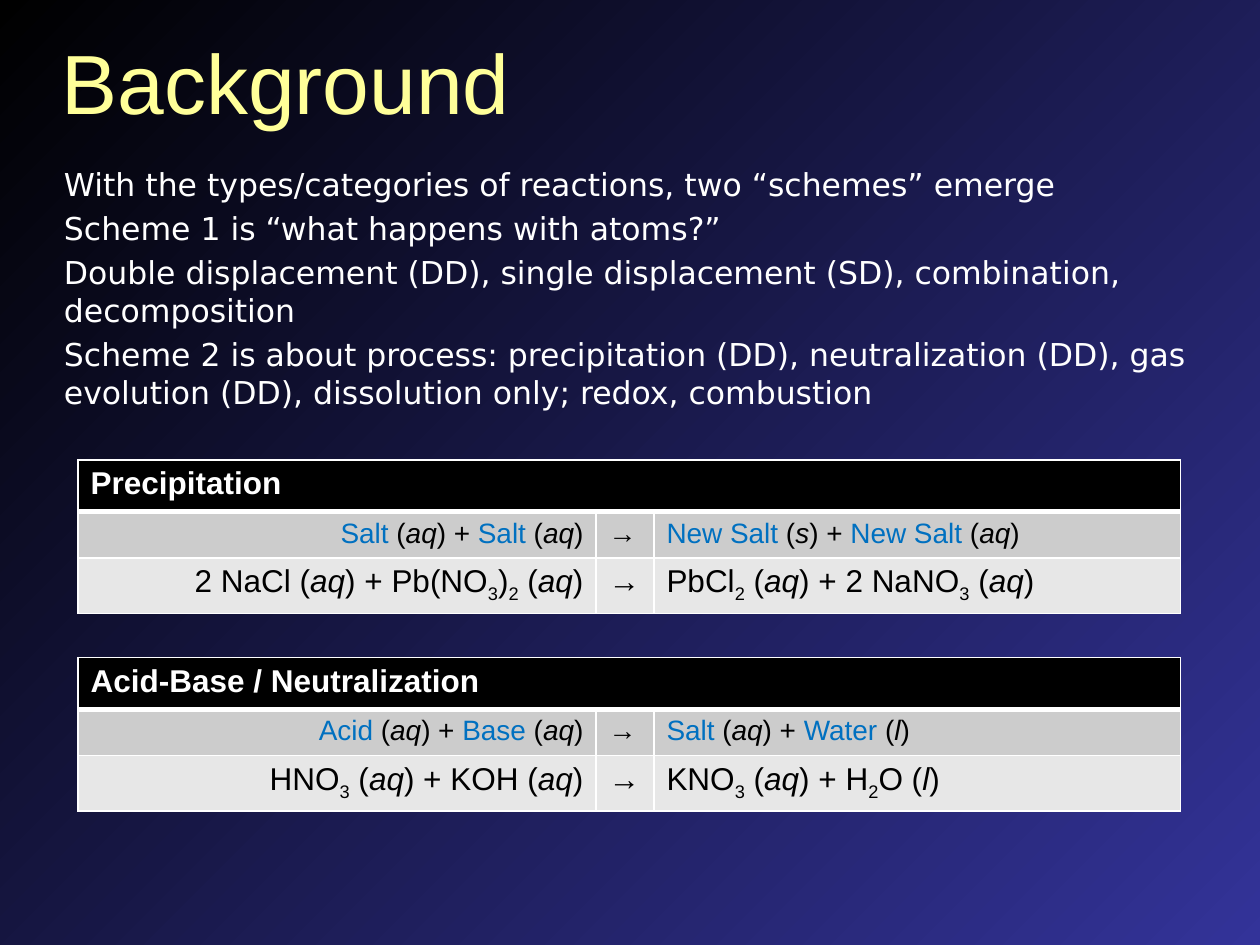
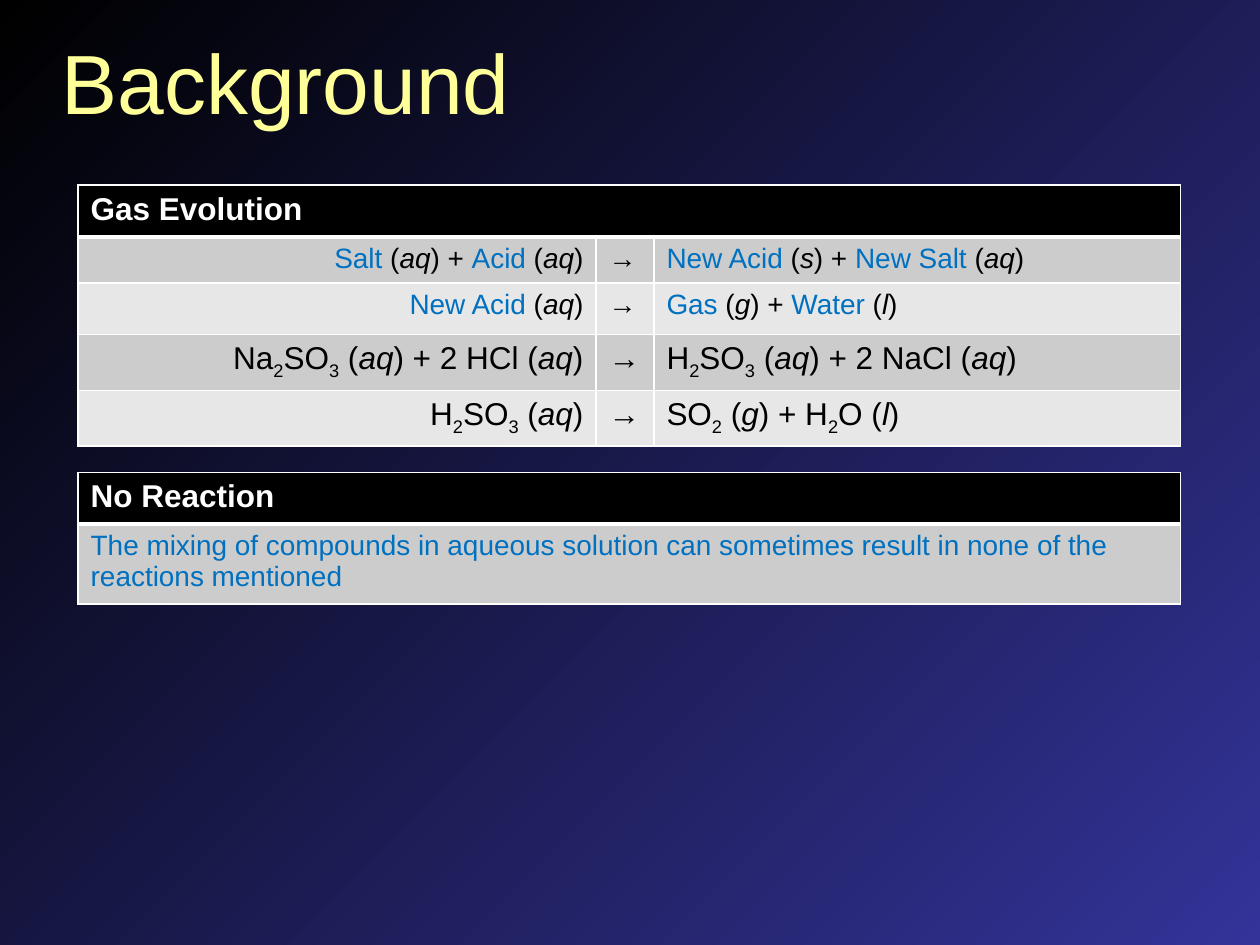
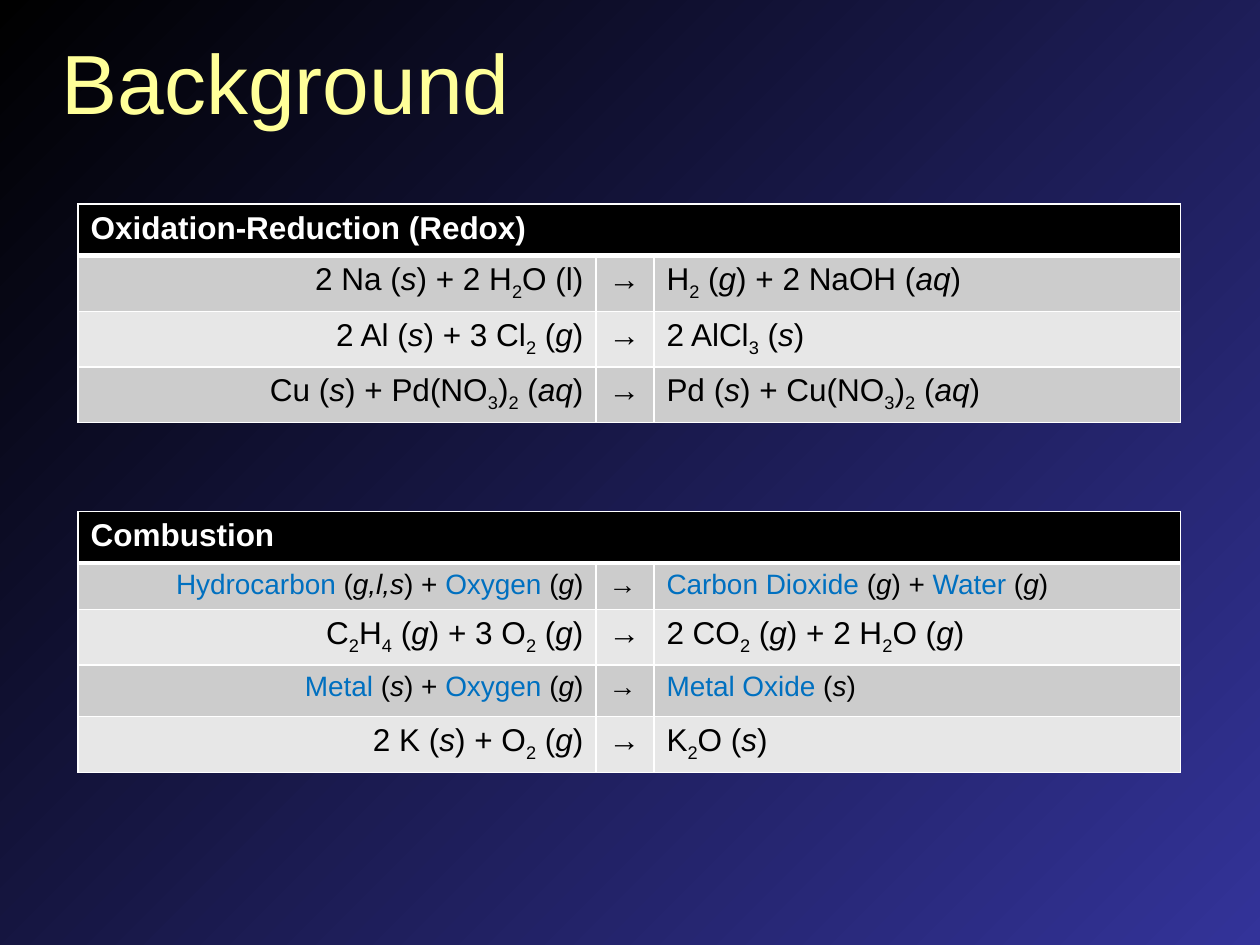
"""Build three slides on the types and categories of chemical reactions."""
from lxml.etree import SubElement
from pptx import Presentation
from pptx.dml.color import RGBColor
from pptx.enum.text import MSO_ANCHOR, PP_ALIGN
from pptx.oxml.ns import qn
from pptx.util import Inches, Pt

BLACK, WHITE, NAVY = "000000", "FFFFFF", "333399"
TITLE_YELLOW, SPECIES_BLUE = "FFFF99", "0070C0"
BANDS = ["E7E7E7", "CCCCCC"]
HEADING_SIZE, SCHEME_SIZE = 18, 16

INTRO = [
    "With the types/categories of reactions, two “schemes” emerge",
    "Scheme 1 is “what happens with atoms?”",
    "Double displacement (DD), single displacement (SD), combination, decomposition",
    "Scheme 2 is about process: precipitation (DD), neutralization (DD), "
    "gas evolution (DD), dissolution only; redox, combustion",
]

# Braces mark species names (capital), states (lower case) and subscripts (digit).
SLIDES = [
    (INTRO, [
        (3.65, "Precipitation", [
            ("{Salt} ({aq}) + {Salt} ({aq})", "{New Salt} ({s}) + {New Salt} ({aq})"),
            ("2 NaCl ({aq}) + Pb(NO{3}){2} ({aq})", "PbCl{2} ({aq}) + 2 NaNO{3} ({aq})"),
        ]),
        (5.22, "Acid-Base / Neutralization", [
            ("{Acid} ({aq}) + {Base} ({aq})", "{Salt} ({aq}) + {Water} ({l})"),
            ("HNO{3} ({aq}) + KOH ({aq})", "KNO{3} ({aq}) + H{2}O ({l})"),
        ]),
    ]),
    ([], [
        (1.47, "Gas Evolution", [
            ("{Salt} ({aq}) + {Acid} ({aq})", "{New Acid} ({s}) + {New Salt} ({aq})"),
            ("{New Acid} ({aq})", "{Gas} ({g}) + {Water} ({l})"),
            ("Na{2}SO{3} ({aq}) + 2 HCl ({aq})", "H{2}SO{3} ({aq}) + 2 NaCl ({aq})"),
            ("H{2}SO{3} ({aq})", "SO{2} ({g}) + H{2}O ({l})"),
        ]),
        (3.75, "No Reaction", [
            ("{The mixing of compounds in aqueous solution can sometimes "
             "result in none of the reactions mentioned}",),
        ]),
    ]),
    ([], [
        (1.62, "Oxidation-Reduction (Redox)", [
            ("2 Na ({s}) + 2 H{2}O (l)", "H{2} ({g}) + 2 NaOH ({aq})"),
            ("2 Al ({s}) + 3 Cl{2} ({g})", "2 AlCl{3} ({s})"),
            ("Cu ({s}) + Pd(NO{3}){2} ({aq})", "Pd ({s}) + Cu(NO{3}){2} ({aq})"),
        ]),
        (4.06, "Combustion", [
            ("{Hydrocarbon} ({g,l,s}) + {Oxygen} ({g})", "{Carbon Dioxide} ({g}) + {Water} ({g})"),
            ("C{2}H{4} ({g}) + 3 O{2} ({g})", "2 CO{2} ({g}) + 2 H{2}O ({g})"),
            ("{Metal} ({s}) + {Oxygen} ({g})", "{Metal Oxide} ({s})"),
            ("2 K ({s}) + O{2} ({g})", "K{2}O ({s})"),
        ]),
    ]),
]


def rgb(code):
    """Turn a hex string into a colour."""
    return RGBColor.from_string(code)


def write(paragraph, marked, size, color, face="Arial", bold=False):
    """Add marked text run by run, styling each braced part by its first character."""
    for position, piece in enumerate(marked.replace("}", "{").split("{")):
        if not piece:
            continue
        run = paragraph.add_run()
        run.text = piece
        font = run.font
        font.name, font.size, font.bold = face, Pt(size), bold
        braced = position % 2 == 1
        species = braced and piece[0].isupper()
        font.color.rgb = rgb(SPECIES_BLUE if species else color)
        font.italic = braced and piece[0].islower()
        if braced and piece.isdigit():
            font._element.set("baseline", "-25000")


prs = Presentation()
prs.slide_width, prs.slide_height = Inches(10), Inches(7.5)
backdrop = prs.slide_master.background.fill
backdrop.gradient()
backdrop.gradient_angle = 315
for stop, place, shade in zip(backdrop.gradient_stops, (0, 1), (BLACK, NAVY)):
    stop.position, stop.color.rgb = place, rgb(shade)

for intro, reactions in SLIDES:
    slide = prs.slides.add_slide(prs.slide_layouts[6])
    title = slide.shapes.add_textbox(Inches(0.39), Inches(0.19), Inches(9.21), Inches(0.91)).text_frame
    title.word_wrap, title.vertical_anchor = True, MSO_ANCHOR.MIDDLE
    write(title.paragraphs[0], "Background", 48, TITLE_YELLOW)

    if intro:
        body = slide.shapes.add_textbox(Inches(0.41), Inches(1.26), Inches(9.17), Inches(5.9)).text_frame
        body.word_wrap = True
        for number, sentence in enumerate(intro):
            paragraph = body.add_paragraph() if number else body.paragraphs[0]
            if number:
                paragraph.space_before = Pt(3.6)
            write(paragraph, sentence, 18, WHITE, face="DejaVu Sans")

    for top, heading, equations in reactions:
        widths = [4.11, 0.46, 4.18] if len(equations[0]) == 2 else [8.75]
        opens_with_scheme = equations[0][0].startswith("{")
        heights = [0.41, 0.35 if opens_with_scheme else 0.41] + [0.41] * (len(equations) - 1)
        table = slide.shapes.add_table(
            len(heights), len(widths), Inches(0.62), Inches(top),
            Inches(sum(widths)), Inches(sum(heights))).table
        table.horz_banding = False
        for column, width in zip(table.columns, widths):
            column.width = Inches(width)
        for row, height in zip(table.rows, heights):
            row.height = Inches(height)

        for r, row in enumerate(table.rows):
            for cell in row.cells:
                edges = {"lnL": 1, "lnR": 1, "lnT": 3 if r == 1 else 1, "lnB": 1 if r else 3}
                for edge, weight in edges.items():
                    line = SubElement(cell._tc.get_or_add_tcPr(), qn(f"a:{edge}"), w=str(Pt(weight)))
                    SubElement(SubElement(line, qn("a:solidFill")), qn("a:srgbClr"), val=WHITE)
                cell.fill.solid()
                cell.fill.fore_color.rgb = rgb(BANDS[r % 2] if r else BLACK)

        if len(widths) > 1:
            table.cell(0, 0).merge(table.cell(0, len(widths) - 1))
        write(table.cell(0, 0).text_frame.paragraphs[0], heading, HEADING_SIZE, WHITE, bold=True)

        for r, equation in enumerate(equations, 1):
            size = SCHEME_SIZE if equation[0].startswith("{") else HEADING_SIZE
            sides = [equation[0], "→", equation[1]] if len(equation) == 2 else equation
            for c, side in enumerate(sides):
                paragraph = table.cell(r, c).text_frame.paragraphs[0]
                if c == 0 and len(sides) > 1:
                    paragraph.alignment = PP_ALIGN.RIGHT
                write(paragraph, side, size, BLACK)

prs.save("out.pptx")
